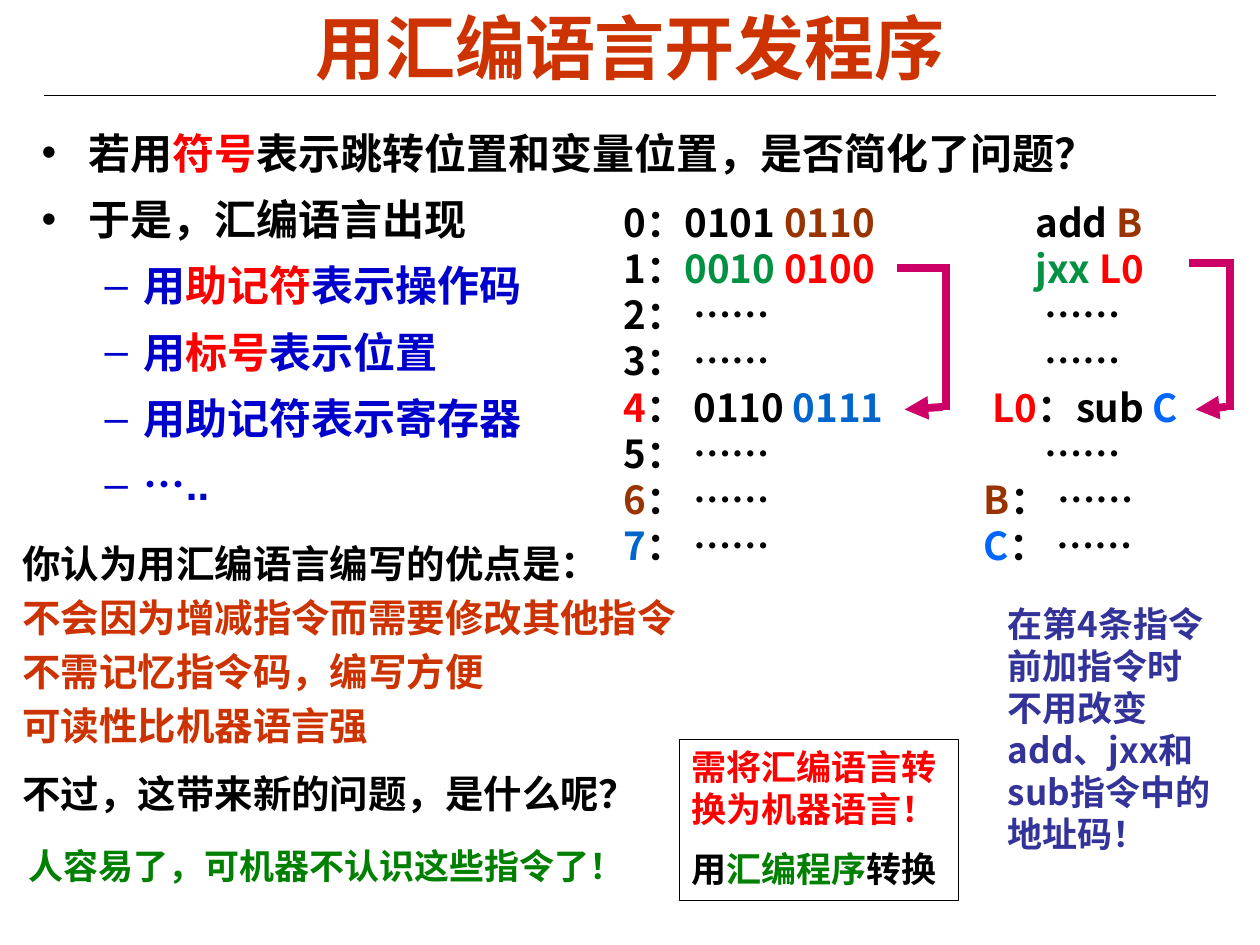
import lxml.etree
import pptx
import pptx.dml.color
import pptx.enum.shapes
import pptx.enum.text
import pptx.oxml.ns
import pptx.util

Inches = pptx.util.Inches
Pt = pptx.util.Pt
qn = pptx.oxml.ns.qn
TEXT = pptx.enum.text

ARIAL = "Arial"
NOTO = "Noto Sans CJK SC"
HUES = {
    "black": "000000", "red": "FF0000", "blue": "0000CC", "rust": "CC3300",
    "brown": "993300", "jade": "009242", "sea": "0066CC", "sky": "0066FF",
    "pink": "CC0066", "navy": "333399", "green": "008000",
}


def hue(name):
    return pptx.dml.color.RGBColor.from_string(HUES[name])


def place(shape, box):
    shape.left, shape.top, shape.width, shape.height = map(Inches, box)


def write(shape, lines, size, font=ARIAL, gap=0, lead=1.2, align=None,
          pads=None, levels=None):
    """Each line is a list of (text, colour) or (text, colour, font) runs."""
    frame = shape.text_frame
    frame.word_wrap = True
    frame.auto_size = TEXT.MSO_AUTO_SIZE.NONE
    for row, runs in enumerate(lines):
        para = frame.add_paragraph() if row else frame.paragraphs[0]
        if levels:
            para.level = levels[row]
        if pads and pads[row]:
            para._p.get_or_add_pPr().set("marL", str(Inches(pads[row])))
        para.line_spacing = Pt(round(size * lead, 1))
        para.space_before = Pt(size * gap if row else 0)
        if align is not None:
            para.alignment = align
        for text, tint, *face in runs:
            run = para.add_run()
            run.text = text
            run.font.size = Pt(size)
            run.font.bold = True
            run.font.color.rgb = hue(tint)
            run.font.name = face[0] if face else font
            east = lxml.etree.SubElement(run._r.get_or_add_rPr(), qn("a:ea"))
            east.set("typeface", NOTO)


def label(slide, box, lines, size, **form):
    shape = slide.shapes.add_textbox(*map(Inches, box))
    write(shape, lines, size, **form)


def frame(slide, box, lines, size, **form):
    shape = slide.shapes.add_shape(
        pptx.enum.shapes.MSO_SHAPE.RECTANGLE, *map(Inches, box))
    shape.shadow.inherit = False
    shape.fill.background()
    shape.line.color.rgb = hue("black")
    shape.line.width = Pt(0.75)
    shape.text_frame.margin_right = 0
    shape.text_frame.vertical_anchor = TEXT.MSO_ANCHOR.TOP
    write(shape, lines, size, align=TEXT.PP_ALIGN.LEFT, **form)


def rule(slide, ends, tint, width, arrow=False):
    line = slide.shapes.add_connector(
        pptx.enum.shapes.MSO_CONNECTOR.STRAIGHT, *map(Inches, ends))
    line.line.color.rgb = hue(tint)
    line.line.width = Pt(width)
    if arrow:
        tail = lxml.etree.SubElement(line.line._get_or_add_ln(), qn("a:tailEnd"))
        tail.set("type", "triangle")
    lxml.etree.SubElement(line._element.spPr, qn("a:effectLst"))


def jump(slide, start, side, end, top, foot):
    """Draw a jump: out to the side, down, and back with an arrowhead."""
    rule(slide, (start, top, side + 0.03, top), "pink", 4.5)
    rule(slide, (side, top, side, foot), "pink", 4.5)
    rule(slide, (side - 0.03, foot - 0.02, end, foot), "pink", 4.5, arrow=True)


def main():
    deck = pptx.Presentation()
    deck.slide_width, deck.slide_height = Inches(10), Inches(7.5)
    slide = deck.slides.add_slide(deck.slide_layouts[1])
    title, body = slide.placeholders

    # Title and its rule
    place(title, (0.5, 0.14, 9, 0.46))
    title.text_frame.vertical_anchor = TEXT.MSO_ANCHOR.MIDDLE
    write(title, [[("用汇编语言开发程序", "rust")]], 40,
          align=TEXT.PP_ALIGN.CENTER)
    rule(slide, (0.35, 0.76, 9.65, 0.76), "black", 0.75)

    # Main list
    place(body, (0.23, 0.9, 8.91, 5.43))
    write(body, [
        [("若用", "black"), ("符号", "red"),
         ("表示跳转位置和变量位置，是否简化了问题？", "black")],
        [("于是，汇编语言出现", "black")],
        [("用", "blue"), ("助记符", "red"), ("表示操作码", "blue")],
        [("用", "blue"), ("标号", "red"), ("表示位置", "blue")],
        [("用助记符表示寄存器", "blue")],
        [("…", "blue", NOTO), ("..", "blue")],
    ], 24, gap=0.2, lead=1.38, levels=[0, 0, 1, 1, 1, 1])

    # Machine code
    label(slide, (4.85, 1.53, 2.65, 3.03), [
        [("0：0101 ", "black"), ("0110", "brown")],
        [("1：", "black"), ("0010 ", "jade"), ("0100", "red")],
        [("2： ……", "black")],
        [("3： ……", "black")],
        [("4", "red"), ("： 0110 ", "black"), ("0111", "sea")],
        [("5： ……", "black")],
        [("6", "brown"), ("： ……", "black")],
        [("7", "sea"), ("： ……", "black")],
    ], 22, font=NOTO)
    jump(slide, 7.12, 7.51, 7.18, 2.13, 3.25)

    # Assembly code
    dots = [("……", "black")]
    label(slide, (7.71, 1.53, 2.05, 3.03), [
        [("add ", "black"), ("B", "brown")],
        [("jxx ", "jade"), ("L0", "red")],
        dots,
        dots,
        [("L0", "red"), ("：sub ", "black"), ("C", "sky")],
        dots,
        [("B", "brown"), ("： ……", "black")],
        [("C", "sky"), ("： ……", "black")],
    ], 22, font=NOTO, pads=[0.41, 0.41, 0.48, 0.48, 0.07, 0.48, 0, 0])
    jump(slide, 9.44, 9.76, 9.49, 2.09, 3.25)

    # Remarks
    label(slide, (7.9, 4.73, 1.82, 2.1), [
        [("在第4条指令前加指令时不用改变add、jxx和sub指令中的地址码！", "navy")],
    ], 20, font=NOTO)
    label(slide, (0.08, 4.24, 5.71, 1.78), [
        [("你认为用汇编语言编写的优点是：", "black")],
        [("不会因为增减指令而需要修改其他指令", "rust")],
        [("不需记忆指令码，编写方便", "rust")],
        [("可读性比机器语言强", "rust")],
    ], 22, gap=0.2)
    label(slide, (0.08, 6.06, 5.36, 0.47),
          [[("不过，这带来新的问题，是什么呢？", "black")]], 22)
    label(slide, (0.13, 6.65, 5.02, 0.43),
          [[("人容易了，可机器不认识这些指令了！", "green")]], 20)
    frame(slide, (5.39, 5.87, 2.22, 1.28), [
        [("需将汇编语言转换为机器语言！", "red")],
        [("用", "black"), ("汇编程序", "green"), ("转换", "black")],
    ], 20, gap=0.5)

    deck.save("out.pptx")


if __name__ == "__main__":
    main()
